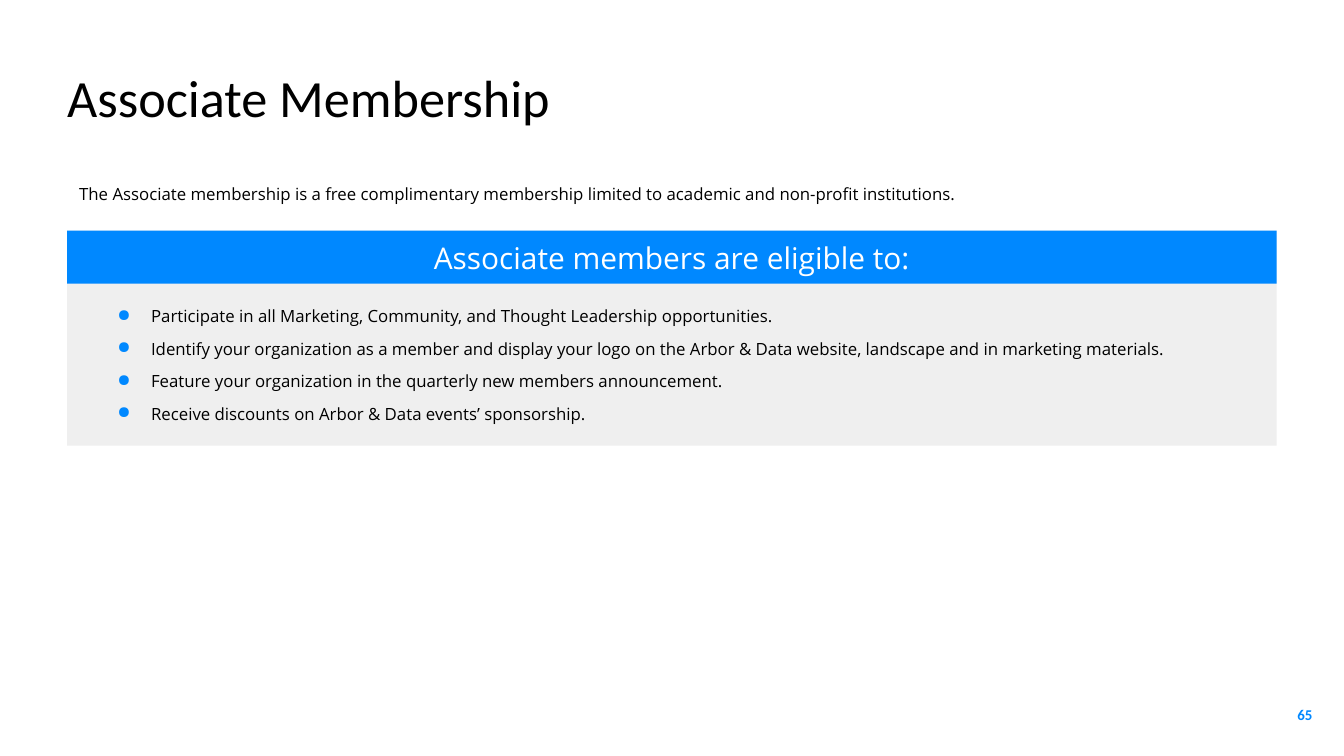
import pptx
import pptx.dml.color
import pptx.enum.shapes
import pptx.enum.text
import pptx.util
import lxml.etree

Pt = pptx.util.Pt
ALIGN = pptx.enum.text.PP_ALIGN
ANCHOR = pptx.enum.text.MSO_ANCHOR
BLUE, GREY, BLACK, WHITE = "0088FF", "EFEFEF", "000000", "FFFFFF"
LEFT, WIDTH, PANEL_TOP = 72, 1296, 247


def color(value):
    return pptx.dml.color.RGBColor.from_string(value)


def write(sp, lines, size, font, ink, inset=(0, 0), anchor=ANCHOR.TOP,
          align=ALIGN.LEFT, spacing=1.0, bullet=None):
    tf = sp.text_frame
    tf.word_wrap = True
    tf.vertical_anchor = anchor
    tf.margin_left = tf.margin_right = Pt(inset[0])
    tf.margin_top = tf.margin_bottom = Pt(inset[1])
    for i, line in enumerate(lines):
        p = tf.paragraphs[0] if i == 0 else tf.add_paragraph()
        p.alignment = align
        p.line_spacing = spacing
        if i:
            p.space_before = Pt(10)
        if bullet:
            pPr = p._p.get_or_add_pPr()
            pPr.set("marL", str(Pt(54)))
            pPr.set("indent", str(Pt(-36)))
            ns = pptx.oxml.ns.qn
            clr = lxml.etree.SubElement(pPr, ns("a:buClr"))
            lxml.etree.SubElement(clr, ns("a:srgbClr"), val=BLUE)
            lxml.etree.SubElement(pPr, ns("a:buChar"), char=bullet)
        r = p.add_run()
        r.text = line
        r.font.size = Pt(size)
        r.font.name = font
        r.font.color.rgb = color(ink)


prs = pptx.Presentation()
prs.slide_width, prs.slide_height = Pt(1440), Pt(810)
s = prs.slides.add_slide(prs.slide_layouts[6])

# Title
sp = s.shapes.add_textbox(Pt(LEFT), Pt(70), Pt(1342), Pt(90))
write(sp, ["Associate Membership"], 56, "Calibri", BLACK)

# Page number
sp = s.shapes.add_textbox(Pt(1334), Pt(734.5), Pt(86.5), Pt(62))
write(sp, ["65"], 16, "Calibri", BLUE, (14.4, 14.4), ANCHOR.MIDDLE, ALIGN.RIGHT)
sp.text_frame.paragraphs[0].runs[0].font.bold = True

# Introduction
sp = s.shapes.add_textbox(Pt(74), Pt(188.5), Pt(1292), Pt(69))
write(sp, ["The Associate membership is a free complimentary membership "
           "limited to academic and non-profit institutions."],
      18, "Open Sans", BLACK, (10.8, 5), spacing=1.15)

# Benefits panel and its header bar
for height, fill in ((230.5, GREY), (57, BLUE)):
    sp = s.shapes.add_shape(pptx.enum.shapes.MSO_SHAPE.RECTANGLE,
                            Pt(LEFT), Pt(PANEL_TOP), Pt(WIDTH), Pt(height))
    sp.shadow.inherit = False
    sp.fill.solid()
    sp.fill.fore_color.rgb = color(fill)
    sp.line.fill.background()
write(sp, ["Associate members are eligible to:"], 32, "Open Sans", WHITE,
      (14.4, 14.4), ANCHOR.MIDDLE, ALIGN.CENTER)

# Benefits list
benefits = [
    "Participate in all Marketing, Community, and Thought Leadership opportunities.",
    "Identify your organization as a member and display your logo on the "
    "Arbor & Data website, landscape and in marketing materials.",
    "Feature your organization in the quarterly new members announcement.",
    "Receive discounts on Arbor & Data events’ sponsorship.",
]
sp = s.shapes.add_textbox(Pt(93.5), Pt(317.5), Pt(1212.5), Pt(155.5))
write(sp, benefits, 18, "Open Sans", BLACK, (14.4, 7.2), spacing=1.15, bullet="●")

prs.save("out.pptx")
